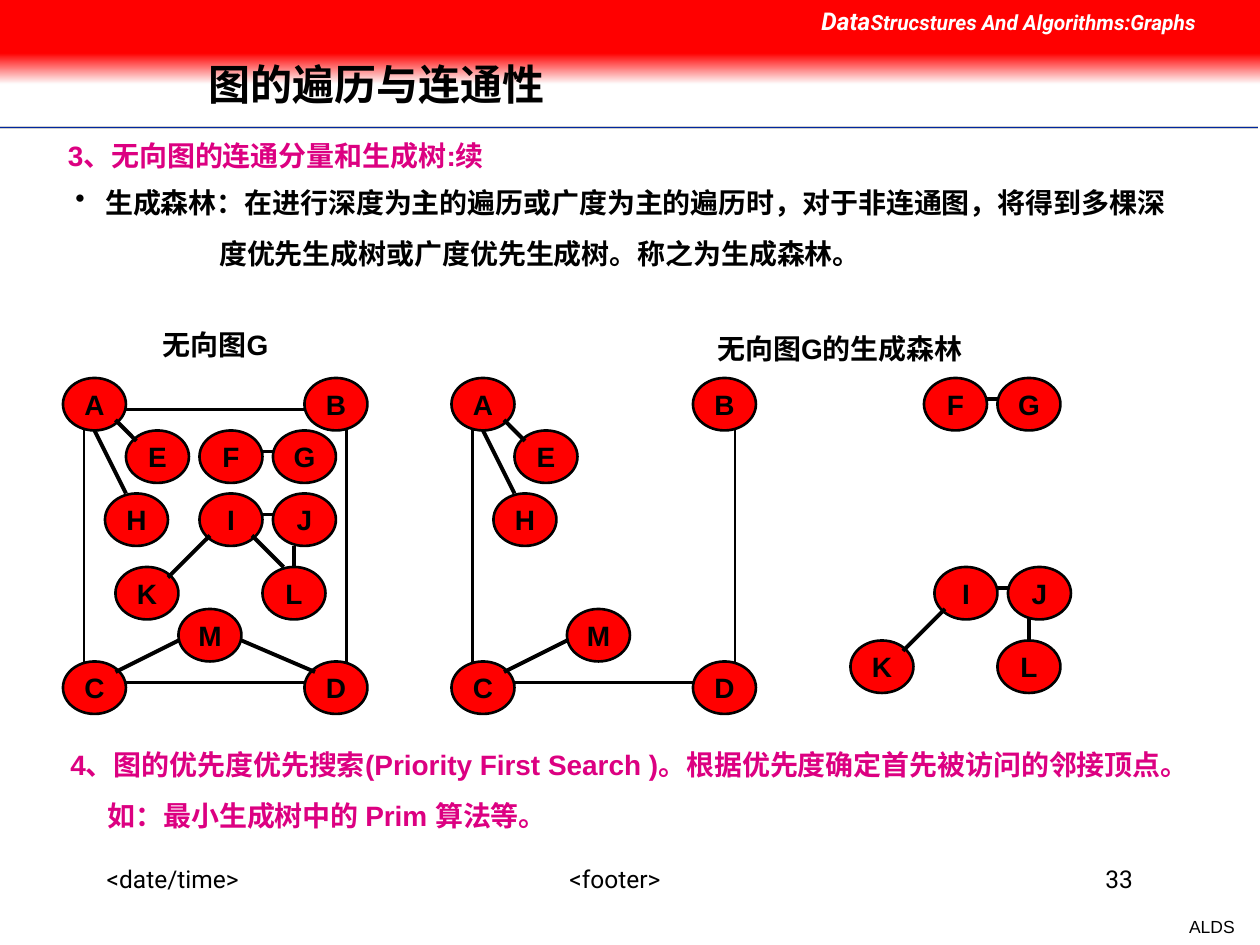
from lxml import etree
from pptx import Presentation
from pptx.dml.color import RGBColor
from pptx.enum.shapes import MSO_CONNECTOR, MSO_SHAPE
from pptx.enum.text import MSO_ANCHOR, PP_ALIGN
from pptx.oxml.ns import qn
from pptx.util import Cm, Pt

RED, BLACK, WHITE, MAGENTA = "FF0000", "000000", "FFFFFF", "DC0081"
GRID = 2.54 / 12
VERTEX_WIDTH, VERTEX_HEIGHT = 6 * GRID, 5 * GRID
VERTICES = {
    "A": (0, 0), "B": (23, 0), "C": (0, 27), "D": (23, 27), "E": (6, 5),
    "F": (13, 5), "G": (20, 5), "H": (4, 11), "I": (13, 11), "J": (20, 11),
    "K": (5, 18), "L": (19, 18), "M": (11, 22),
}
EDGES = {
    "AB": (6, 3, 23, 3, 1.5), "AC": (2, 5, 2, 27, 1.5),
    "BD": (27, 5, 27, 27, 1.5), "CD": (6, 29, 23, 29, 1.5),
    "JL": (22, 18, 22, 16, 2.25), "DM": (17, 25, 24, 28, 2.25),
    "CM": (5, 28, 11, 25, 2.25), "AH": (3, 5, 6, 11, 2.25),
    "AE": (5, 4, 7, 6, 2.25), "IK": (10, 19, 14, 15, 2.25),
    "FG": (19, 7, 20, 7, 2.25), "IJ": (19, 13, 20, 13, 2.25),
    "IL": (21, 18, 18, 15, 2.25),
}


def color(value):
    """Return the colour for a hex string."""
    return RGBColor.from_string(value)


def style_run(run, size, fill, name="Arial", bold=True, italic=False):
    """Set the font of one run."""
    font = run.font
    font.name, font.size, font.bold, font.italic = name, Pt(size), bold, italic
    font.color.rgb = color(fill)


def add_text(slide, box, text, size=16, fill=BLACK, name="Arial", bold=True,
             align=PP_ALIGN.LEFT, wrap=True):
    """Add a text box and return its text frame."""
    shape = slide.shapes.add_textbox(*map(Cm, box))
    text_frame = shape.text_frame
    text_frame.text = text
    text_frame.word_wrap = wrap
    for paragraph in text_frame.paragraphs:
        paragraph.alignment = align
        for run in paragraph.runs:
            style_run(run, size, fill, name, bold)
    for paragraph in text_frame.paragraphs[1:]:
        paragraph.space_before = Pt(10)
    return text_frame


def add_line(slide, start, end, fill, width):
    """Add a straight line without a shadow."""
    connector = slide.shapes.add_connector(
        MSO_CONNECTOR.STRAIGHT, *map(Cm, (*start, *end)))
    connector.line.color.rgb = color(fill)
    connector.line.width = Pt(width)
    etree.SubElement(connector._element.spPr, qn("a:effectLst"))


def add_band(slide, box):
    """Add a rectangle without line or shadow."""
    shape = slide.shapes.add_shape(MSO_SHAPE.RECTANGLE, *map(Cm, box))
    shape.shadow.inherit = False
    shape.line.fill.background()
    return shape


def add_header(slide, left, top, width):
    """Draw the red band, its fade, the rules, the course name and the title."""
    for offset, fill, weight in ((2.57, "CECECE", 2), (2.57, "00279F", 1),
                                 (2.62, WHITE, 1)):
        add_line(slide, (left, top + offset),
                 (left + width - 0.05, top + offset), fill, weight)
    fade = add_band(slide, (left, top + 1.07, width, 0.63))
    fade.fill.gradient()
    fade.fill.gradient_angle = 270
    for stop, fill in zip(fade.fill.gradient_stops, (RED, "FEFEFE")):
        stop.color.rgb = color(fill)
    band = add_band(slide, (left, top, width, 1.07))
    band.fill.solid()
    band.fill.fore_color.rgb = color(RED)
    course = add_text(slide, (left + 16.31, top, 9.09, 0.86), "Data")
    paragraph = course.paragraphs[0]
    paragraph.add_run().text = "Strucstures And Algorithms:Graphs"
    for run, size in zip(paragraph.runs, (14, 12)):
        style_run(run, size, WHITE, "Roboto", italic=True)
    title = add_text(slide, (left + 3.96, top + 0.81, 19.18, 1.88),
                     "图的遍历与连通性", 24)
    title.vertical_anchor = MSO_ANCHOR.MIDDLE
    title.paragraphs[0].line_spacing = 0.9


def add_definition(slide, left, top, width):
    """Write the section heading and the bullet on spanning forests."""
    add_text(slide, (left - 0.15, top, 9.3, 0.94),
             "3、无向图的连通分量和生成树:续", fill=MAGENTA, wrap=False)
    text_frame = add_text(
        slide, (left, top + 0.94, width, 1.96),
        "生成森林：在进行深度为主的遍历或广度为主的遍历时，对于非连通图，将得到多棵深\n"
        "度优先生成树或广度优先生成树。称之为生成森林。")
    for paragraph, margin, indent in zip(text_frame.paragraphs,
                                         (0.6, 2.9), (-0.6, 0)):
        properties = paragraph._p.get_or_add_pPr()
        properties.set("marL", str(Cm(margin)))
        properties.set("indent", str(Cm(indent)))
    bullet = text_frame.paragraphs[0]._p.get_or_add_pPr()
    etree.SubElement(bullet, qn("a:buChar")).set("char", "•")


def add_graph(slide, left, top, vertices, edges):
    """Draw the chosen vertices and edges from a grid origin."""
    for letter in vertices:
        column, row = VERTICES[letter]
        shape = slide.shapes.add_shape(
            MSO_SHAPE.OVAL, Cm(left + column * GRID), Cm(top + row * GRID),
            Cm(VERTEX_WIDTH), Cm(VERTEX_HEIGHT))
        shape.shadow.inherit = False
        shape.fill.solid()
        shape.fill.fore_color.rgb = color(RED)
        shape.line.color.rgb = color(BLACK)
        shape.line.width = Pt(1.5)
        text_frame = shape.text_frame
        text_frame.text = letter
        text_frame.word_wrap = False
        text_frame.vertical_anchor = MSO_ANCHOR.MIDDLE
        paragraph = text_frame.paragraphs[0]
        paragraph.alignment = PP_ALIGN.CENTER
        style_run(paragraph.runs[0], 16, BLACK)
    for edge in edges:
        x1, y1, x2, y2, weight = EDGES[edge]
        add_line(slide, (left + x1 * GRID, top + y1 * GRID),
                 (left + x2 * GRID, top + y2 * GRID), BLACK, weight)


def add_graphs(slide, left, top):
    """Place the graph, its spanning forest and both captions."""
    for column, row, vertices, edges in (
            (0, 0, VERTICES, EDGES),
            (37, 0, "ABCDEHM", ("AC", "BD", "CD", "CM", "AH", "AE")),
            (69, -5, "FG", ("FG",)),
            (70, 7, "IJKL", ("JL", "IK", "IJ"))):
        add_graph(slide, left + column * GRID, top + row * GRID,
                  vertices, edges)
    for x, y, width, caption in ((1.27, -1.14, 3.61, "无向图G"),
                                 (12.07, -1.07, 7.19, "无向图G的生成森林")):
        add_text(slide, (left + x, top + y, width, 0.94), caption,
                 align=PP_ALIGN.CENTER)


def add_priority_search(slide, left, top, width):
    """Write the closing section on priority first search."""
    text_frame = add_text(
        slide, (left, top, width, 1.96),
        "4、图的优先度优先搜索(Priority First Search )。根据优先度确定首先被访问的邻接顶点。\n"
        "如：最小生成树中的 Prim 算法等。", fill=MAGENTA, wrap=False)
    text_frame.paragraphs[1]._p.get_or_add_pPr().set("marL", str(Cm(0.75)))


def add_footer(slide, left, top):
    """Write the footer row and the corner mark."""
    for x, width, text, align in (
            (0, 4.88, "<date/time>", PP_ALIGN.LEFT),
            (6.79, 7.42, "<footer>", PP_ALIGN.CENTER),
            (16.31, 4.88, "33", PP_ALIGN.RIGHT)):
        add_text(slide, (left + x, top, width, 1.27), text, 14,
                 name="Roboto", bold=False, align=align)
    add_text(slide, (left + 21.82, top + 1.04, 1.42, 0.69), "ALDS", 10,
             bold=False, align=PP_ALIGN.RIGHT, wrap=False)


def main():
    """Build and save the slide."""
    presentation = Presentation()
    presentation.slide_width, presentation.slide_height = Cm(25.4), Cm(19.05)
    slide = presentation.slides.add_slide(presentation.slide_layouts[6])
    add_header(slide, 0, 0, 25.4)
    add_definition(slide, 1.27, 2.67, 22.86)
    add_graphs(slide, 1.27, 7.62)
    add_priority_search(slide, 1.17, 14.94, 23.47)
    add_footer(slide, 1.9, 17.3)
    presentation.save("out.pptx")


if __name__ == "__main__":
    main()
